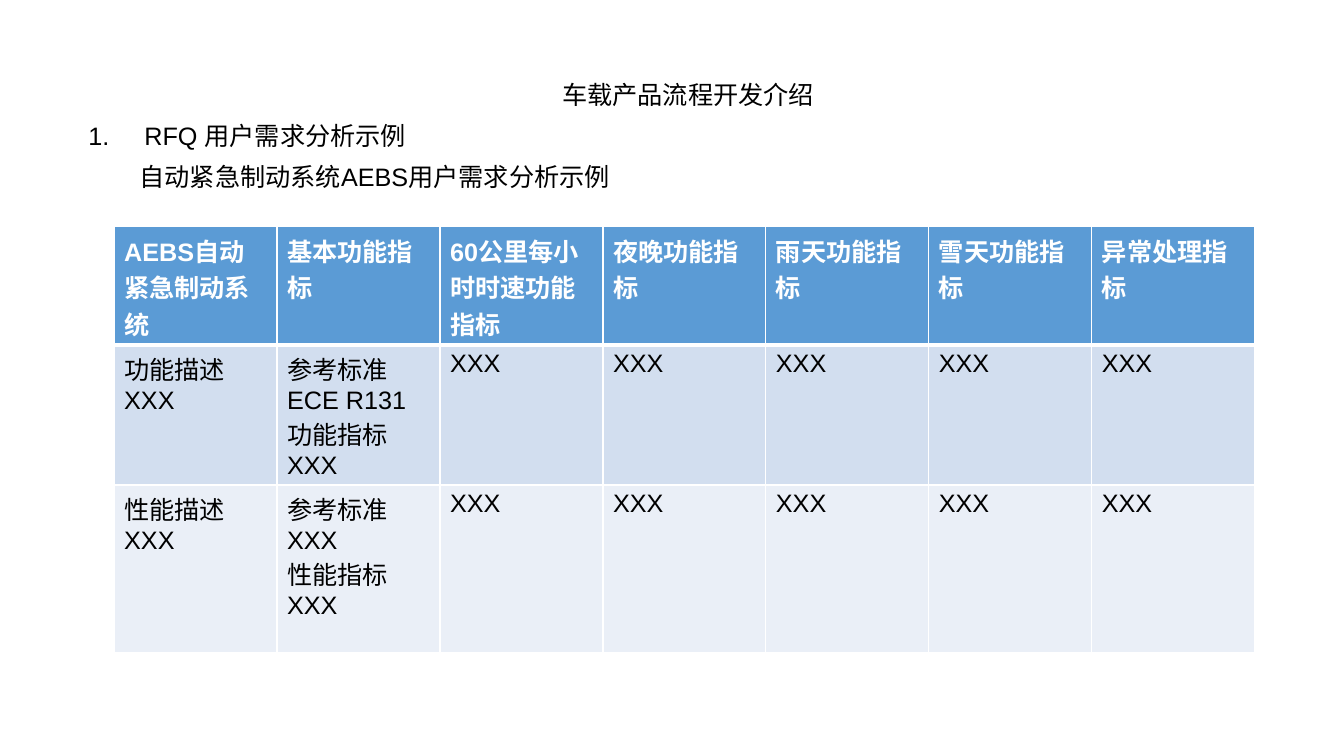
import pptx
import pptx.dml.color
import pptx.enum.text
import pptx.oxml
import pptx.oxml.ns
import pptx.util
from dataclasses import dataclass

Pt = pptx.util.Pt
ALIGN = pptx.enum.text.PP_ALIGN


@dataclass(frozen=True)
class Theme:
    """Colours and type sizes of the slide."""
    font: str = "Arial"
    size: float = 18
    ink: str = "000000"
    paper: str = "FFFFFF"
    header: str = "5B9BD5"
    bands: tuple = ("D2DEEF", "EAEFF7")
    border: float = 1
    header_rule: float = 3


def rgb(color):
    """Turn a hex string into a colour."""
    return pptx.dml.color.RGBColor.from_string(color)


class SlideBuilder:
    """Holds the theme and the current page and adds elements to it."""

    def __init__(self, page, theme):
        """Keep the page and the theme."""
        self.page = page
        self.theme = theme

    def add_span(self, para, text, color, bold=False):
        """Add one formatted span to a paragraph."""
        span = para.add_run()
        span.text = text
        formats = {"name": self.theme.font, "size": Pt(self.theme.size), "bold": bold}
        for name, value in formats.items():
            setattr(span.font, name, value)
        span.font.color.rgb = rgb(color)

    def add_intro(self, left, top, width, height, lines):
        """Add a text box of (text, alignment, indent, numbered) lines."""
        box = self.page.shapes.add_textbox(Pt(left), Pt(top), Pt(width), Pt(height))
        frame = box.text_frame
        frame.word_wrap = True
        for index, (text, align, indent, numbered) in enumerate(lines):
            para = frame.add_paragraph() if index else frame.paragraphs[0]
            formats = {"alignment": align, "line_spacing": 0.9, "space_before": Pt(10)}
            for name, value in formats.items():
                setattr(para, name, value)
            self.add_span(para, text, self.theme.ink)
            properties = para._p.get_or_add_pPr()
            properties.set("marL", str(Pt(indent)))
            if numbered:
                properties.set("indent", str(-Pt(indent)))
                number = pptx.oxml.parse_xml(
                    f'<a:buAutoNum {pptx.oxml.ns.nsdecls("a")} type="arabicPeriod"/>')
                properties.append(number)

    def set_borders(self, cell, widths):
        """Draw the cell borders, given as a dict of side to width."""
        properties = cell._tc.get_or_add_tcPr()
        for index, (side, width) in enumerate(widths.items()):
            line = pptx.oxml.parse_xml(
                f'<a:ln{side} {pptx.oxml.ns.nsdecls("a")} w="{Pt(width)}"><a:solidFill>'
                f'<a:srgbClr val="{self.theme.paper}"/></a:solidFill></a:ln{side}>')
            properties.insert(index, line)

    def add_table(self, left, top, width, heights, rows):
        """Add a table with a header row, banded rows and equal columns."""
        theme = self.theme
        count = len(rows[0])
        table = self.page.shapes.add_table(
            len(rows), count, Pt(left), Pt(top), Pt(width), Pt(sum(heights))).table
        table.first_row = table.horz_banding = False
        for column in table.columns:
            column.width = Pt(width / count)
        for row_index, texts in enumerate(rows):
            table.rows[row_index].height = Pt(heights[row_index])
            is_header = row_index == 0
            fill = theme.header if is_header else theme.bands[(row_index - 1) % 2]
            color = theme.paper if is_header else theme.ink
            widths = dict.fromkeys("LRTB", theme.border)
            if is_header:
                widths["B"] = theme.header_rule
            elif row_index == 1:
                widths["T"] = theme.header_rule
            for column_index, text in enumerate(texts):
                cell = table.cell(row_index, column_index)
                cell.fill.solid()
                cell.fill.fore_color.rgb = rgb(fill)
                self.set_borders(cell, widths)
                for index, line in enumerate(text.split("\n")):
                    frame = cell.text_frame
                    para = frame.add_paragraph() if index else frame.paragraphs[0]
                    self.add_span(para, line, color, is_header)


INTRO = [
    ("车载产品流程开发介绍", ALIGN.CENTER, 0, False),
    ("RFQ 用户需求分析示例", ALIGN.LEFT, 40, True),
    ("自动紧急制动系统AEBS用户需求分析示例", ALIGN.LEFT, 36.5, False),
]
PENDING = ["XXX"] * 5
REQUIREMENTS = [
    ["AEBS自动紧急制动系统", "基本功能指标", "60公里每小时时速功能指标",
     "夜晚功能指标", "雨天功能指标", "雪天功能指标", "异常处理指标"],
    ["功能描述XXX", "参考标准ECE R131\n功能指标XXX", *PENDING],
    ["性能描述XXX", "参考标准XXX\n性能指标XXX", *PENDING],
]


def main():
    """Build the slide and save it."""
    deck = pptx.Presentation()
    deck.slide_width, deck.slide_height = Pt(960), Pt(540)
    page = deck.slides.add_slide(deck.slide_layouts[6])
    builder = SlideBuilder(page, Theme())
    builder.add_intro(56, 55.5, 871, 459, INTRO)
    builder.add_table(81.5, 162, 814.8, [84.5, 100, 119.5], REQUIREMENTS)
    deck.save("out.pptx")


main()
